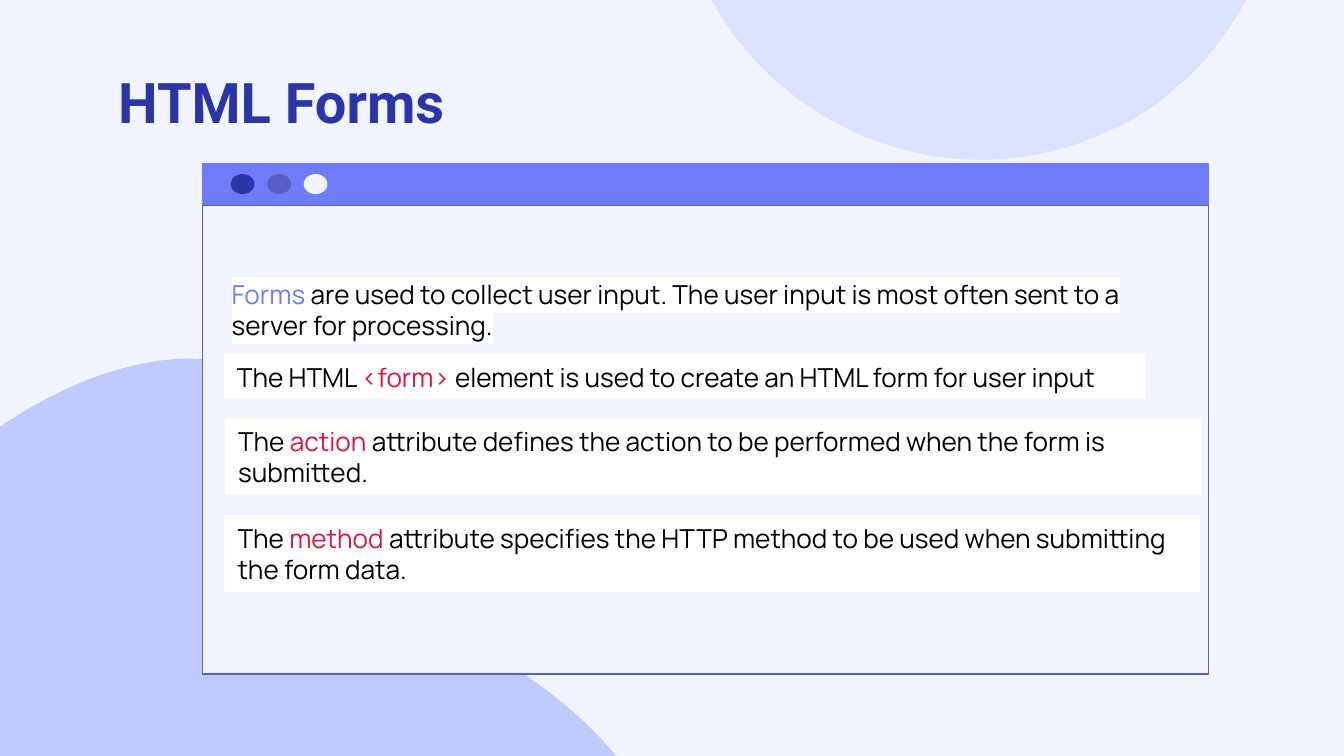
from lxml.etree import SubElement
from pptx import Presentation
from pptx.dml.color import RGBColor
from pptx.enum.shapes import MSO_SHAPE as Preset
from pptx.enum.text import MSO_ANCHOR as Anchor, PP_ALIGN as Align
from pptx.oxml.ns import qn
from pptx.util import Cm, Pt

COLORS = {
    "background": "F2F5FF", "pale": "DBE2FF", "soft": "BFCBFC",
    "bar": "6F7CF8", "outline": "5560C7", "navy": "2A36A7",
    "white": "FFFFFF", "text": "000000", "code": "DC143C",
}

# Cubic curves in cm: a start point, then two handles and an end for each curve
LOWER_BLOB = [
    (3.56, 6.78),
    (4.06, 6.78), (4.6, 6.88), (5.08, 7.11),
    (6.86, 8), (7.21, 10.08), (8.41, 11.48),
    (8.89, 12.01), (9.47, 12.45), (10.06, 12.85),
    (11.1, 13.59), (12.01, 14.5), (12.47, 15.67),
    (12.88, 16.74), (12.93, 17.96), (12.65, 19.05),
    (11.99, 21.89), (9.19, 23.93), (6.48, 24.54),
    (5.84, 24.69), (5.18, 24.77), (4.52, 24.77),
    (1.32, 24.77), (-1.78, 23.04), (-3.35, 20.17),
    (-3.89, 19.23), (-4.22, 18.19), (-4.37, 17.09),
    (-4.47, 16.51), (-4.47, 15.93), (-4.45, 15.34),
    (-4.42, 15.16), (-4.42, 14.99), (-4.39, 14.81),
    (-4.29, 14.07), (-4.11, 13.36), (-3.84, 12.67),
    (-3.1, 10.77), (-1.63, 9.12), (0.1, 8),
    (0.91, 7.47), (1.8, 7.04), (2.77, 6.86),
    (3.02, 6.81), (3.28, 6.78), (3.56, 6.78),
]
UPPER_BLOB = [
    (16.43, -7.21),
    (16.21, -7.21), (15.98, -7.19), (15.77, -7.14),
    (15.04, -6.99), (14.38, -6.58), (13.87, -6.05),
    (12.57, -4.65), (12.47, -2.44), (13.11, -0.74),
    (13.94, 1.5), (16.15, 3.02), (18.54, 3.02),
    (18.67, 3.02), (18.82, 3.02), (18.97, 3),
    (19.66, 2.95), (20.35, 2.77), (20.98, 2.46),
    (21.34, 2.31), (21.67, 2.11), (21.97, 1.88),
    (22.05, 1.8), (22.15, 1.73), (22.23, 1.65),
    (22.61, 1.35), (22.91, 0.99), (23.19, 0.58),
    (23.95, -0.48), (24.33, -1.85), (24.31, -3.2),
    (24.31, -3.84), (24.23, -4.47), (23.98, -5.03),
    (23.77, -5.51), (23.44, -5.94), (23.01, -6.2),
    (22.58, -6.45), (22.12, -6.53), (21.67, -6.53),
    (21.11, -6.53), (20.52, -6.43), (19.94, -6.43),
    (19.79, -6.43), (19.63, -6.43), (19.48, -6.45),
    (19.02, -6.5), (18.57, -6.68), (18.14, -6.83),
    (17.58, -7.06), (16.99, -7.21), (16.43, -7.21),
]

# Left, top, width, height inside the window body, then (text, color) runs
INTRO = (0.3, 1.26, 18.57, 1.45, [
    ("Forms", "bar"),
    (" are used to collect user input. The user input is most often sent "
     "to a server for processing.", "text")])
NOTES = [
    (0.4, 2.81, 17.42, 0.86, [
        ("The HTML ", "text"), ("<form>", "code"),
        (" element is used to create an HTML form for user input", "text")]),
    (0.42, 4.03, 18.45, 1.45, [
        ("The ", "text"), ("action", "code"),
        (" attribute defines the action to be performed when the form is "
         "submitted.", "text")]),
    (0.41, 5.86, 18.45, 1.45, [
        ("The ", "text"), ("method", "code"),
        (" attribute specifies the HTTP method to be used when submitting "
         "the form data.", "text")]),
]


def rgb(name):
    return RGBColor.from_string(COLORS[name])


def paint(shape, fill, line=None):
    shape.shadow.inherit = False
    shape.fill.solid()
    shape.fill.fore_color.rgb = rgb(fill)
    if line:
        shape.line.color.rgb = rgb(line)
        shape.line.width = Pt(0.75)
    else:
        shape.line.fill.background()
    return shape


def add_preset(slide, preset, box, fill, line=None):
    shape = slide.shapes.add_shape(preset, *map(Cm, box))
    return paint(shape, fill, line)


def add_blob(slide, points, fill):
    points = [(Cm(x), Cm(y)) for x, y in points]
    builder = slide.shapes.build_freeform(*points[0])
    builder.add_line_segments(points[3::3])
    shape = paint(builder.convert_to_shape(), fill)
    # Bend each straight segment into its cubic curve
    segments = list(shape.element.iter(qn("a:lnTo")))
    for i, segment in enumerate(segments):
        curve = segment.makeelement(qn("a:cubicBezTo"))
        for x, y in points[3 * i + 1:3 * i + 4]:
            point = SubElement(curve, qn("a:pt"))
            point.set("x", str(x - shape.left))
            point.set("y", str(y - shape.top))
        segment.getparent().replace(segment, curve)


def fill_title(slide, box, text):
    title = slide.shapes.title
    title.element.getparent().append(title.element)  # in front of the blobs
    title.left, title.top, title.width, title.height = map(Cm, box)
    frame = title.text_frame
    frame.text = text
    frame.margin_top = frame.margin_bottom = 0
    frame.vertical_anchor = Anchor.TOP
    paragraph = frame.paragraphs[0]
    paragraph.alignment = Align.LEFT
    font = paragraph.font
    font.name, font.size, font.bold = "Roboto", Pt(30), True
    font.color.rgb = rgb("navy")


def write_runs(shape, runs, highlight=None):
    frame = shape.text_frame
    frame.word_wrap = True
    paragraph = frame.paragraphs[0]
    paragraph.alignment = Align.LEFT
    paragraph.font.name, paragraph.font.size = "Manrope", Pt(14)
    for text, color in runs:
        run = paragraph.add_run()
        run.text = text
        run.font.color.rgb = rgb(color)
        if highlight:
            mark = SubElement(run.font._element, qn("a:highlight"))
            SubElement(mark, qn("a:srgbClr")).set("val", COLORS[highlight])


def add_window(slide, box, bar_height=0.78):
    left, top, width, height = box
    # Title bar with its three buttons
    add_preset(slide, Preset.RECTANGLE, (left, top, width, bar_height), "bar", "bar")
    for i, color in enumerate(("navy", "outline", "background")):
        dot = (left + 0.53 + i * 0.69, top + 0.19, 0.45, 0.38)
        add_preset(slide, Preset.OVAL, dot, color)
    # Body
    body_top = top + bar_height
    add_preset(slide, Preset.RECTANGLE, (left, body_top, width, height - bar_height),
               "background", "outline")
    # Highlighted introduction
    x, y, w, h, runs = INTRO
    intro = slide.shapes.add_textbox(*map(Cm, (left + x, body_top + y, w, h)))
    write_runs(intro, runs, highlight="white")
    # White notes
    for x, y, w, h, runs in NOTES:
        note = add_preset(slide, Preset.RECTANGLE, (left + x, body_top + y, w, h), "white")
        note.text_frame.vertical_anchor = Anchor.MIDDLE
        write_runs(note, runs)


def main():
    presentation = Presentation()
    presentation.slide_width, presentation.slide_height = Cm(25.4), Cm(14.29)
    slide = presentation.slides.add_slide(presentation.slide_layouts[5])
    slide.background.fill.solid()
    slide.background.fill.fore_color.rgb = rgb("background")
    add_blob(slide, LOWER_BLOB, "soft")
    add_blob(slide, UPPER_BLOB, "pale")
    fill_title(slide, (1.98, 1.27, 21.44, 1.6), "HTML Forms")
    add_window(slide, (3.83, 3.1, 19.01, 9.64))
    presentation.save("out.pptx")


if __name__ == "__main__":
    main()
